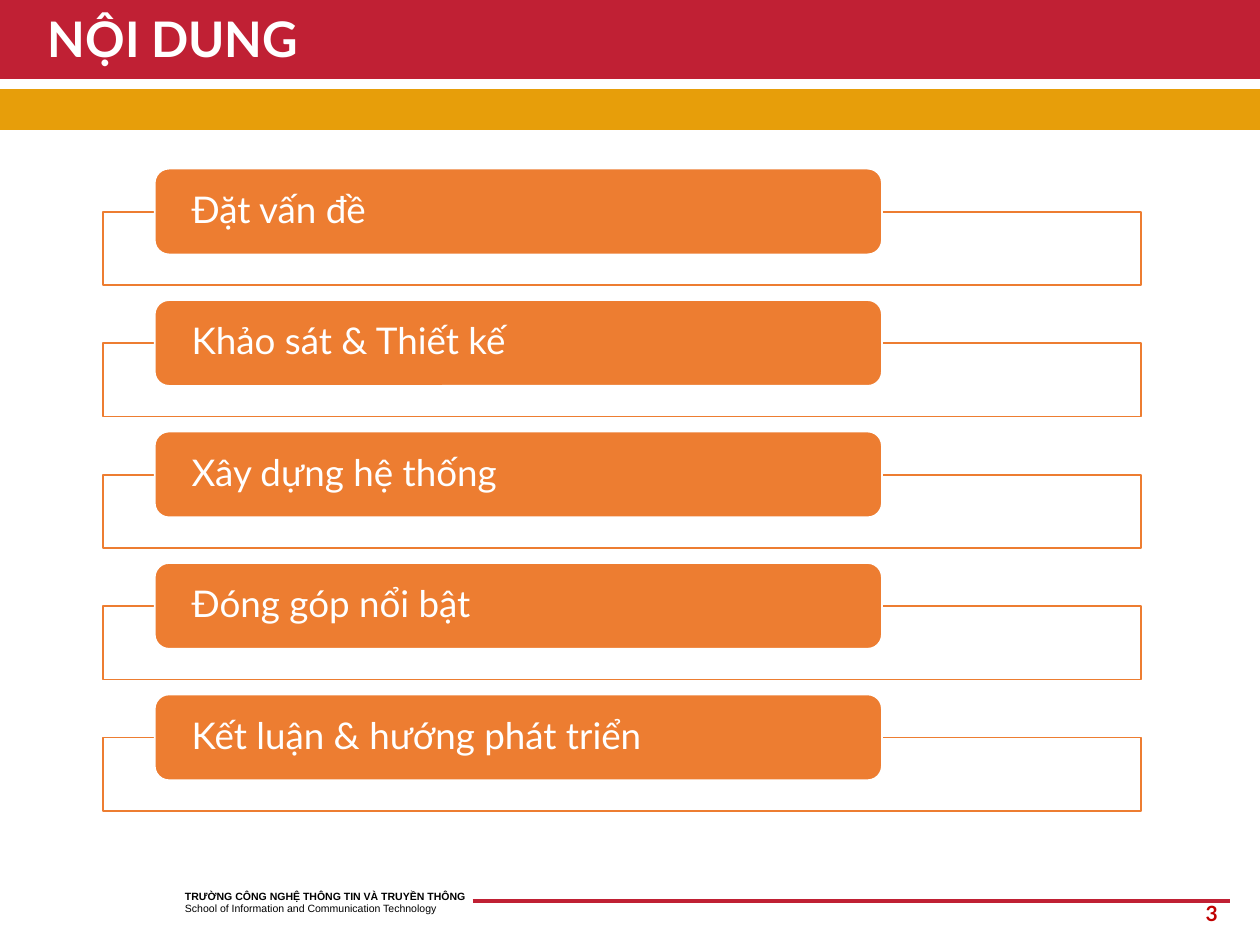
from typing import NamedTuple

from lxml.etree import SubElement
from pptx import Presentation
from pptx.dml.color import RGBColor
from pptx.enum.shapes import MSO_CONNECTOR as Link, MSO_SHAPE as Kind
from pptx.enum.text import MSO_ANCHOR as Anchor, MSO_AUTO_SIZE as Fit, PP_ALIGN as Align
from pptx.oxml.ns import qn
from pptx.util import Cm, Pt

RED, GOLD, ORANGE, WHITE = "C02034", "E79E0A", "ED7D31", "FFFFFF"
TITLE = {"name": "Lato", "size": Pt(28), "bold": True}
TOPIC = {"name": "Lato", "size": Pt(21), "bold": False}
PAGE = {"name": "Lato", "size": Pt(12), "bold": True}
SCHOOL = {"name": "Arial", "size": Pt(6), "bold": True}
TOPICS = [
    "Đặt vấn đề",
    "Khảo sát & Thiết kế",
    "Xây dựng hệ thống",
    "Đóng góp nổi bật",
    "Kết luận & hướng phát triển",
]
STEP = 2.65


class Box(NamedTuple):
    """Left, top, width and height in centimetres."""
    left: float
    top: float
    width: float
    height: float

    def down(self, gap: float) -> "Box":
        return self._replace(top=self.top + gap)

    def size(self) -> list:
        return [Cm(side) for side in self]


class Rule(NamedTuple):
    """A level line: start, end and height in centimetres, width in points."""
    start: float
    end: float
    y: float
    color: str
    width: float


RULES = [
    Rule(0, 25.4, 2.21, GOLD, 23.25),
    Rule(0, 25.4, 0.79, RED, 45),
    Rule(9.53, 24.79, 18.16, RED, 2.25),
]
FRAME = Box(2.08, 4.27, 20.93, 1.48)
LABEL = Box(3.12, 3.4, 14.66, 1.73)


def rgb(color: str) -> RGBColor:
    return RGBColor.from_string(color)


def style(font, look: dict, color: str) -> None:
    for key, value in look.items():
        setattr(font, key, value)
    font.color.rgb = rgb(color)


def draw_rule(slide, rule: Rule) -> None:
    y = Cm(rule.y)
    line = slide.shapes.add_connector(Link.STRAIGHT, Cm(rule.start), y, Cm(rule.end), y)
    line.line.color.rgb = rgb(rule.color)
    line.line.width = Pt(rule.width)
    SubElement(line.element.spPr, qn("a:effectLst"))


def draw_shape(slide, kind, box: Box, fill: str, edge: str):
    shape = slide.shapes.add_shape(kind, *box.size())
    shape.shadow.inherit = False
    shape.fill.solid()
    shape.fill.fore_color.rgb = rgb(fill)
    shape.line.color.rgb = rgb(edge)
    shape.line.width = Pt(1)
    return shape


def draw_topic(slide, text: str, gap: float) -> None:
    draw_shape(slide, Kind.RECTANGLE, FRAME.down(gap), WHITE, ORANGE)
    label = draw_shape(slide, Kind.ROUNDED_RECTANGLE, LABEL.down(gap), ORANGE, WHITE)
    frame = label.text_frame
    frame.word_wrap = True
    frame.vertical_anchor = Anchor.MIDDLE
    frame.margin_left = frame.margin_right = Cm(0.66)
    frame.margin_top = frame.margin_bottom = 0
    para = frame.paragraphs[0]
    para.alignment, para.line_spacing = Align.LEFT, 0.9
    run = para.add_run()
    run.text = text
    style(run.font, TOPIC, WHITE)


def add_note(slide, box: Box, align):
    """Add a footer text box and return its paragraph."""
    frame = slide.shapes.add_textbox(*box.size()).text_frame
    frame.word_wrap = True
    para = frame.paragraphs[0]
    para.alignment = align
    return para


def draw_footer(slide) -> None:
    para = add_note(slide, Box(3.48, 17.81, 7.34, 0.76), Align.LEFT)
    run = para.add_run()
    run.text = "TRƯỜNG CÔNG NGHỆ THÔNG TIN VÀ TRUYỀN THÔNG"
    style(run.font, SCHOOL, "000000")
    para.add_line_break()
    run = para.add_run()
    run.text = "School of Information and Communication Technology"
    style(run.font, SCHOOL | {"bold": False}, "000000")

    para = add_note(slide, Box(19.08, 18.03, 5.72, 1.02), Align.RIGHT)
    run = para.add_run()
    run.text = "3"
    style(run.font, PAGE, "C00000")


def draw_title(slide, text: str) -> None:
    title = slide.shapes.title
    title.element.getparent().append(title.element)  # in front of the red band
    title.left, title.top, title.width, title.height = Box(0.71, 0.23, 23.98, 1.22).size()
    frame = title.text_frame
    frame.auto_size = Fit.NONE
    frame.vertical_anchor = Anchor.MIDDLE
    para = frame.paragraphs[0]
    para.alignment, para.line_spacing = Align.LEFT, 0.9
    run = para.add_run()
    run.text = text
    style(run.font, TITLE, WHITE)


def main() -> None:
    deck = Presentation()
    deck.slide_width, deck.slide_height = Cm(25.4), Cm(19.05)
    slide = deck.slides.add_slide(deck.slide_layouts.get_by_name("Title Only"))
    for rule in RULES:
        draw_rule(slide, rule)
    draw_footer(slide)
    draw_title(slide, "NỘI DUNG")
    for i, text in enumerate(TOPICS):
        draw_topic(slide, text, i * STEP)
    deck.save("out.pptx")


if __name__ == "__main__":
    main()
